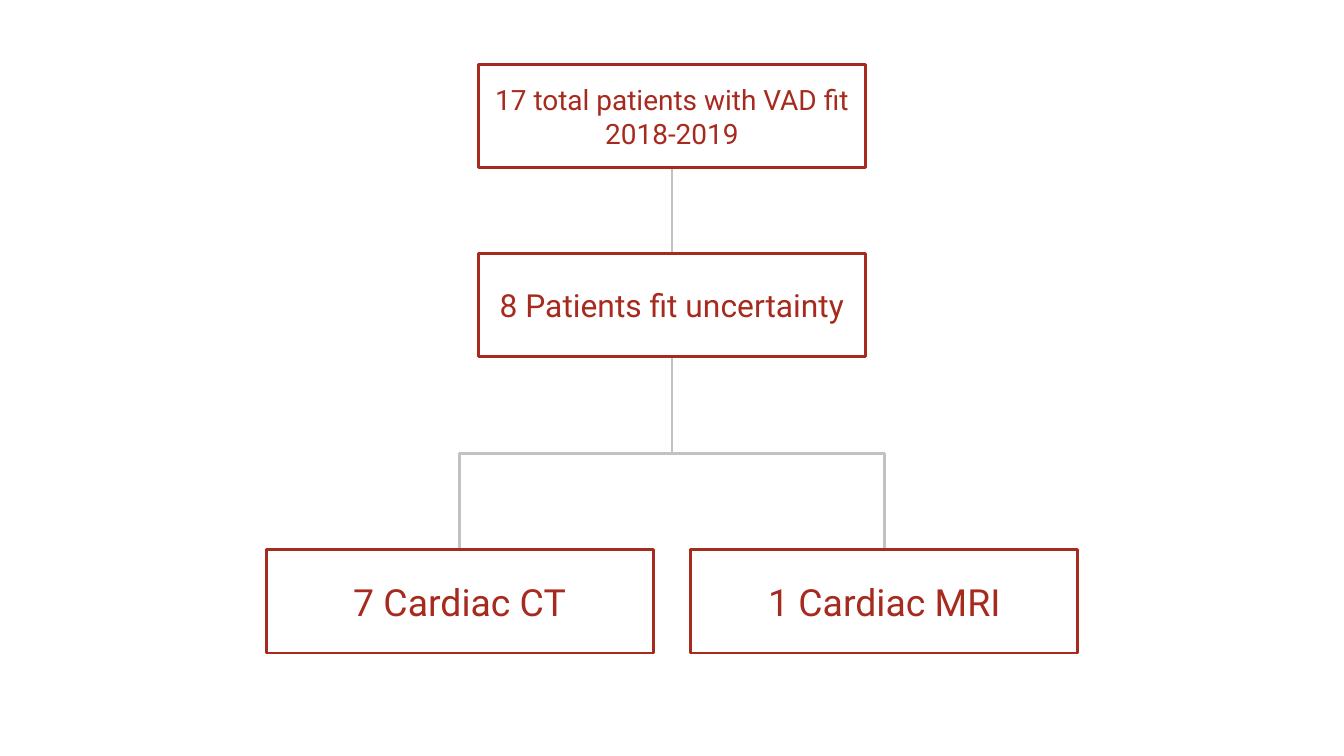
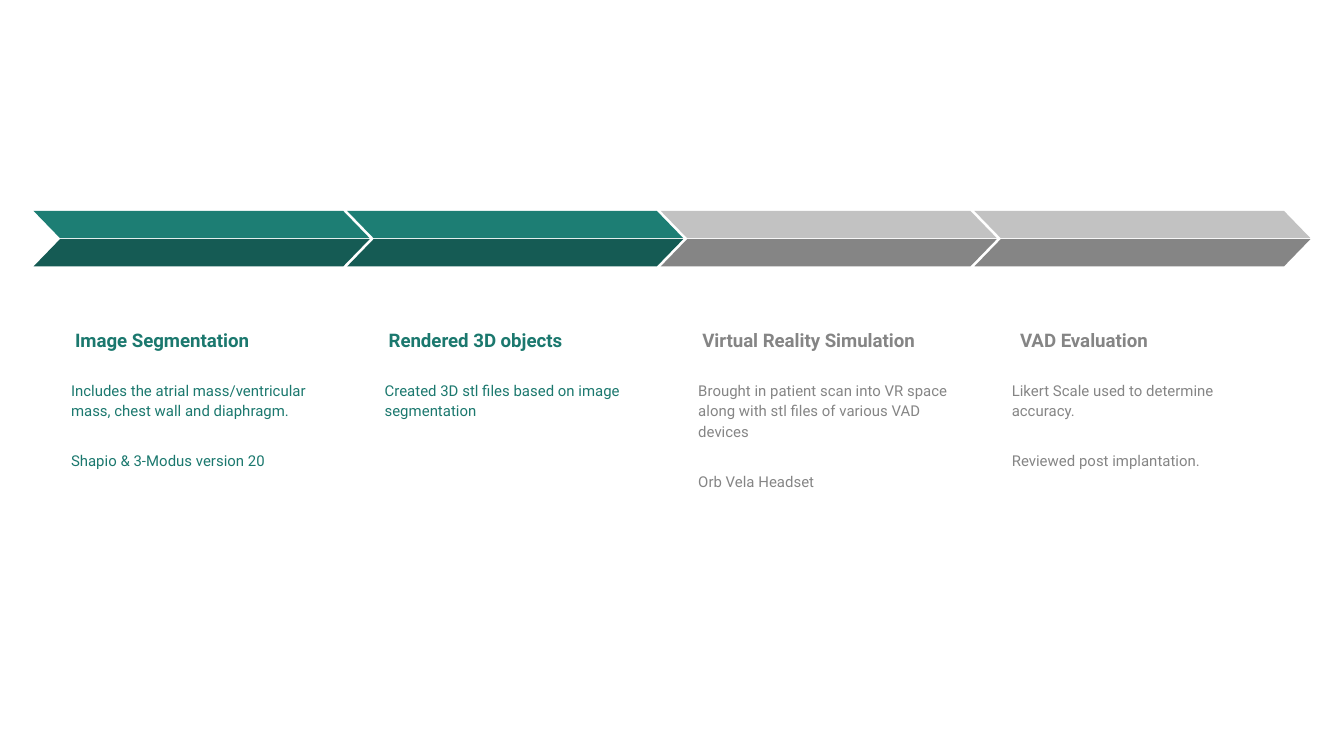
from dataclasses import dataclass
from typing import Optional

from lxml import etree
from pptx import Presentation
from pptx.dml.color import RGBColor
from pptx.enum.shapes import MSO_CONNECTOR as Connector, MSO_SHAPE as Shape
from pptx.enum.text import MSO_ANCHOR as Anchor, PP_ALIGN as Align
from pptx.oxml.ns import qn
from pptx.util import Emu, Inches, Pt

# Shared look
FONT = "Roboto"
RED, GREY = "A72A1E", "C2C2C2"
WIDTH, HEIGHT = Inches(10), Inches(5.625)
QUARTER_TURN_BACK = 270 * 60000


@dataclass(frozen=True)
class Node:
    """A flowchart box; centre and top are percentages of the slide."""
    text: str
    centre: float
    top: float
    size: int
    parent: Optional[int] = None


@dataclass(frozen=True)
class Palette:
    upper: str
    lower: str
    text: str


@dataclass(frozen=True)
class Step:
    heading: str
    details: tuple[str, ...]
    palette: Palette
    heading_inset: float = 0.1


# Flowchart content and grid
NODE_WIDTH, NODE_HEIGHT = 28.8, 13.7
NODES = (
    Node("17 total patients with VAD fit 2018-2019", 50, 8.5, 15),
    Node("8 Patients fit uncertainty", 50, 33.5, 17, parent=0),
    Node("1 Cardiac MRI", 65.8, 72.7, 20, parent=1),
    Node("7 Cardiac CT", 34.2, 72.7, 20, parent=1),
)

# Process content and grid
GREEN_STEP = Palette("1D7E74", "155B54", "1B786E")
GREY_STEP = Palette(GREY, "858585", "858585")
STEPS = (
    Step("Image Segmentation",
         ("Includes the atrial mass/ventricular mass, chest wall and diaphragm.",
          "Shapio & 3-Modus version 20"), GREEN_STEP),
    Step("Rendered 3D objects",
         ("Created 3D stl files based on image segmentation",), GREEN_STEP),
    Step("Virtual Reality Simulation",
         ("Brought in patient scan into VR space along with stl files of "
          "various VAD devices", "Orb Vela Headset"), GREY_STEP),
    Step("VAD Evaluation",
         ("Likert Scale used to determine accuracy.",
          "Reviewed post implantation."), GREY_STEP, heading_inset=0.13),
)
STEP_MARGIN, STEP_WIDTH = 2.5, 25
STEP_PITCH = (100 - 2 * STEP_MARGIN - STEP_WIDTH) / (len(STEPS) - 1)
BAND_TOP, BAND_HEIGHT, BAND_PITCH = 27.9, 3.6, 3.75
BAND_SLANT = 0.97


def colour(value: str) -> RGBColor:
    return RGBColor.from_string(value)


def across(percent: float) -> Emu:
    return Emu(round(WIDTH * percent / 100))


def down(percent: float) -> Emu:
    return Emu(round(HEIGHT * percent / 100))


def area(left: float, top: float, width: float, height: float) -> tuple[Emu, ...]:
    return across(left), down(top), across(width), down(height)


def write(shape, *paragraphs: str, size: float, color: str, bold: bool = False,
          align=Align.LEFT, anchor=Anchor.TOP, spacing: float = 1.0,
          gap: float = 0, left_inset: float = 0.1) -> None:
    """Fill a shape with formatted paragraphs, separated by a gap in points."""
    frame = shape.text_frame
    frame.word_wrap = True
    frame.vertical_anchor = anchor
    frame.margin_left = Inches(left_inset)
    frame.margin_right = frame.margin_top = frame.margin_bottom = Inches(0.1)
    for index, text in enumerate(paragraphs):
        paragraph = frame.add_paragraph() if index else frame.paragraphs[0]
        paragraph.text = text
        paragraph.alignment = align
        paragraph.line_spacing = spacing
        if index:
            paragraph.space_before = paragraph.space_after = Pt(gap)
        font = paragraph.font
        font.name, font.size, font.bold = FONT, Pt(size), bold
        font.color.rgb = colour(color)


def set_transform(shape, name: str, value: int) -> None:
    shape._element.spPr.find(qn("a:xfrm")).set(name, str(value))


# Flowchart parts
def draw_link(shapes, parent: Node, child: Node) -> None:
    """Draw an elbow that leaves vertically, as a horizontal one turned back."""
    start = down(parent.top + NODE_HEIGHT)
    drop = down(child.top) - start
    shift = across(child.centre - parent.centre)
    middle_x = across(parent.centre) + shift // 2
    middle_y = start + drop // 2
    reach = drop // 2 if shift > 0 else -drop // 2
    rise = abs(shift) // 2
    link = shapes.add_connector(
        Connector.ELBOW, Emu(middle_x + reach), Emu(middle_y - rise),
        Emu(middle_x - reach), Emu(middle_y + rise))
    set_transform(link, "rot", QUARTER_TURN_BACK)
    link.line.color.rgb = colour(GREY)
    link.line.width = Pt(1.5)
    etree.SubElement(link._element.spPr, qn("a:effectLst"))


def draw_node(shapes, node: Node) -> None:
    box = shapes.add_shape(Shape.RECTANGLE, *area(
        node.centre - NODE_WIDTH / 2, node.top, NODE_WIDTH, NODE_HEIGHT))
    box.shadow.inherit = False
    box.fill.background()
    box.line.color.rgb = colour(RED)
    box.line.width = Pt(1.5)
    write(box, node.text, size=node.size, color=RED,
          align=Align.CENTER, anchor=Anchor.MIDDLE)


def build_flowchart(shapes) -> None:
    for node in NODES:
        if node.parent is not None:
            draw_link(shapes, NODES[node.parent], node)
    for node in NODES:
        draw_node(shapes, node)


# Process parts
def draw_band(shapes, left: float, row: int, fill: str) -> None:
    band = shapes.add_shape(Shape.PARALLELOGRAM, *area(
        left, BAND_TOP + row * BAND_PITCH, STEP_WIDTH, BAND_HEIGHT))
    band.adjustments[0] = BAND_SLANT
    band.shadow.inherit = False
    band.fill.solid()
    band.fill.fore_color.rgb = colour(fill)
    band.line.fill.background()
    if row == 0:
        set_transform(band, "flipH", 1)


def draw_step(shapes, step: Step, left: float) -> None:
    heading = shapes.add_textbox(*area(left + 2.1, 37.4, 20.5, 10.8))
    write(heading, step.heading, size=10, color=step.palette.text, bold=True,
          anchor=Anchor.BOTTOM, spacing=1.15, left_inset=step.heading_inset)
    details = shapes.add_textbox(*area(left + 1.8, 48.3, 21.1, 18))
    write(details, *step.details, size=8, color=step.palette.text,
          spacing=1.15, gap=16)
    for row, fill in enumerate((step.palette.upper, step.palette.lower)):
        draw_band(shapes, left, row, fill)


def build_process(shapes) -> None:
    for index, step in enumerate(STEPS):
        group = shapes.add_group_shape()
        draw_step(group.shapes, step, STEP_MARGIN + index * STEP_PITCH)


def main() -> None:
    deck = Presentation()
    deck.slide_width, deck.slide_height = WIDTH, HEIGHT
    blank = deck.slide_layouts[6]
    for build in (build_flowchart, build_process):
        slide = deck.slides.add_slide(blank)
        slide.background.fill.solid()
        slide.background.fill.fore_color.rgb = colour("FFFFFF")
        build(slide.shapes)
    deck.save("out.pptx")


if __name__ == "__main__":
    main()
